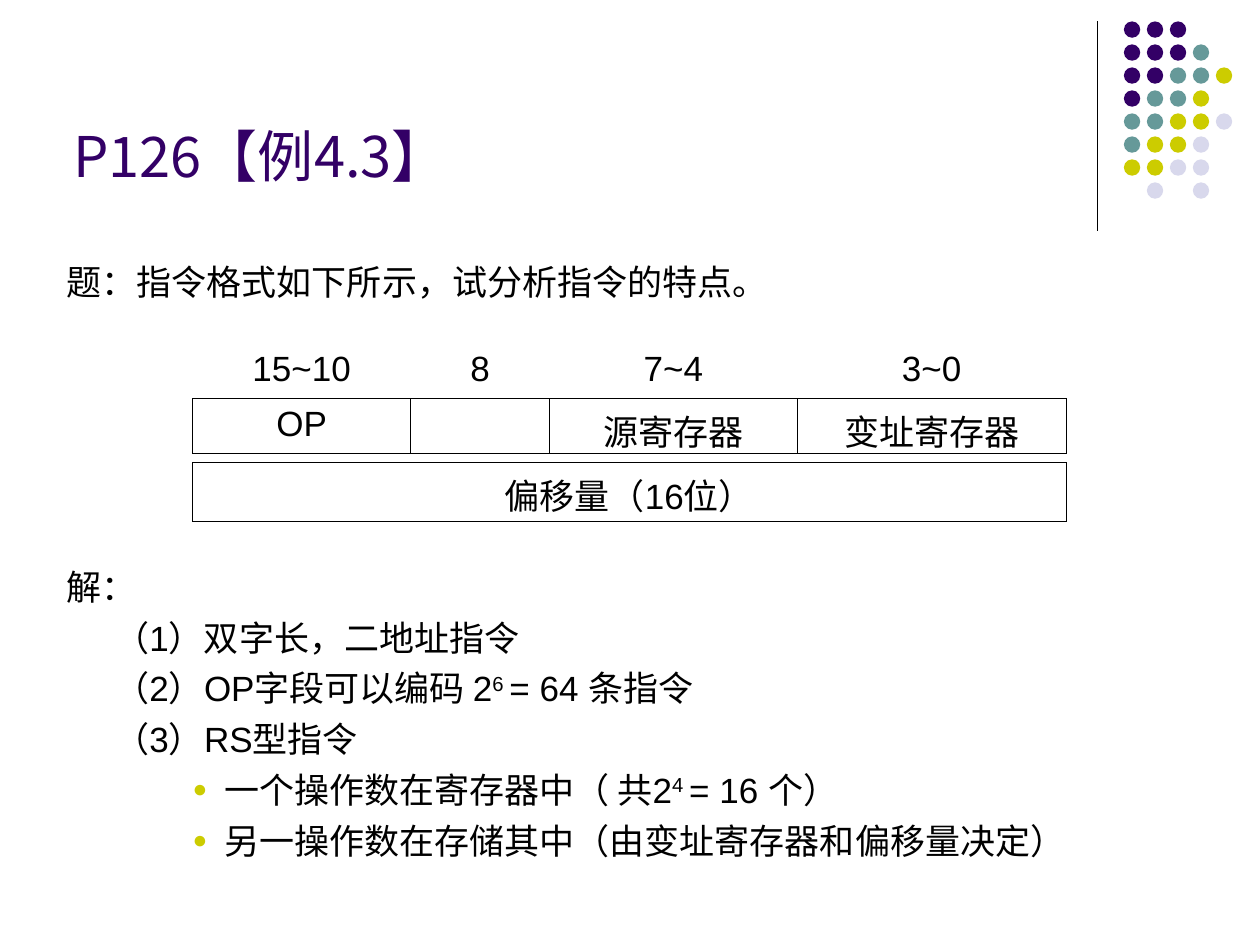
"""Build the slide for example 4.3 on analysing an instruction format."""
from lxml import etree
from pptx import Presentation
from pptx.dml.color import RGBColor
from pptx.enum.shapes import MSO_CONNECTOR, MSO_SHAPE
from pptx.enum.text import MSO_ANCHOR, MSO_AUTO_SIZE, PP_ALIGN
from pptx.oxml import parse_xml
from pptx.oxml.ns import nsdecls, qn
from pptx.util import Inches, Pt

CJK_FONT = "Noto Sans CJK SC"
PURPLE, TEAL, LIME, LILAC, BLACK = "330066", "669999", "CCCC00", "D8D8EC", "000000"
rgb = RGBColor.from_string


def add_run(para, text, size=20, font="Arial", color=BLACK, superscript=False):
    """Append one formatted run to a paragraph."""
    span = para.add_run()
    span.text = text
    span.font.size = Pt(size)
    span.font.name = font
    span.font.color.rgb = rgb(color)
    properties = span.font._element
    etree.SubElement(properties, qn("a:ea")).set("typeface", CJK_FONT)
    if superscript:
        properties.set("baseline", "30000")


def add_border(cell, side):
    """Draw a thin black border on one side of a table cell."""
    cell._tc.get_or_add_tcPr().append(parse_xml(
        f'<a:ln{side} {nsdecls("a")} w="5715"><a:solidFill>'
        f'<a:srgbClr val="{BLACK}"/></a:solidFill></a:ln{side}>'))


deck = Presentation()
deck.slide_width, deck.slide_height = Inches(10), Inches(7.5)
page = deck.slides.add_slide(deck.slide_layouts[5])

divider = page.shapes.add_connector(
    MSO_CONNECTOR.STRAIGHT, Inches(8.71), Inches(0.17), Inches(8.71), Inches(1.83))
divider.line.color.rgb = rgb(BLACK)
divider.line.width = Pt(0.75)
etree.SubElement(divider._element.spPr, qn("a:effectLst"))

dot_colors = {"P": PURPLE, "T": TEAL, "Y": LIME, "L": LILAC}
dot_rows = ["PPP", "PPPT", "PPTTY", "PTTY", "TTYYL", "TYYL", "YYLL", " L L"]
dot_step = Inches(0.73) / 4
for row, pattern in enumerate(dot_rows):
    for column, key in enumerate(pattern):
        if key in dot_colors:
            dot = page.shapes.add_shape(
                MSO_SHAPE.OVAL, Inches(8.92) + int(column * dot_step),
                Inches(0.17) + int(row * dot_step), Inches(0.13), Inches(0.13))
            dot.shadow.inherit = False
            dot.fill.solid()
            dot.fill.fore_color.rgb = rgb(dot_colors[key])
            dot.line.fill.background()

title = page.shapes.title
title.left, title.top = Inches(0.5), Inches(0.77)
title.width, title.height = Inches(8.25), Inches(0.77)
frame = title.text_frame
frame.auto_size = MSO_AUTO_SIZE.NONE
frame.vertical_anchor = MSO_ANCHOR.MIDDLE
frame.margin_left = frame.margin_right = Inches(0.08)
frame.margin_top = frame.margin_bottom = Inches(0.04)
para = frame.paragraphs[0]
para.alignment = PP_ALIGN.JUSTIFY
para.line_spacing = 1.3
add_run(para, "P126【例4.3】", 32, CJK_FONT, PURPLE)

box = page.shapes.add_textbox(Inches(0.43), Inches(2.02), Inches(9.06), Inches(5.12))
frame = box.text_frame
frame.word_wrap = True
body = [
    (0, 0, ["题：指令格式如下所示，试分析指令的特点。"]),
    (0, 150, ["解："]),
    (0.38, 5, ["（1）双字长，二地址指令"]),
    (0.38, 5, ["（2）OP字段可以编码 2", "6 ", "= 64 条指令"]),
    (0.38, 5, ["（3）RS型指令"]),
    (1.25, 5, ["一个操作数在寄存器中（ 共2", "4 ", "= 16 个）"]),
    (1.25, 5, ["另一操作数在存储其中（由变址寄存器和偏移量决定）"]),
]
for index, (margin, space, texts) in enumerate(body):
    para = frame.add_paragraph() if index else frame.paragraphs[0]
    if space:
        para.space_before = Pt(space)
    properties = para._p.get_or_add_pPr()
    properties.set("marL", str(Inches(margin)))
    if margin > 1:
        para.level = 2
        properties.set("indent", str(Inches(-0.25)))
        color = etree.SubElement(properties, qn("a:buClr"))
        etree.SubElement(color, qn("a:srgbClr")).set("val", LIME)
        etree.SubElement(properties, qn("a:buSzPct")).set("val", "70000")
        etree.SubElement(properties, qn("a:buFont")).set("typeface", "Arial")
        etree.SubElement(properties, qn("a:buChar")).set("char", "●")
    for position, text in enumerate(texts):
        add_run(para, text, superscript=position == 1)

format_rows = [["15~10", "8", "7~4", "3~0"], ["OP", "", "源寄存器", "变址寄存器"]]
tables = [
    (2.73, 0.43, [1.73, 1.1, 1.97, 2.13], format_rows),
    (3.67, 0.47, [6.93], [["偏移量（16位）"]]),
]
for top, row_height, widths, rows in tables:
    table = page.shapes.add_table(
        len(rows), len(widths), Inches(1.53), Inches(top),
        Inches(6.93), Inches(row_height * len(rows))).table
    table.first_row = table.horz_banding = False
    for column, width in zip(table.columns, widths):
        column.width = Inches(width)
    for row, texts in enumerate(rows):
        table.rows[row].height = Inches(row_height)
        for column, text in enumerate(texts):
            cell = table.cell(row, column)
            cell.margin_top = cell.margin_bottom = Inches(0.05)
            is_header = row < len(rows) - 1
            for side in "B" if is_header else "LRTB":
                add_border(cell, side)
            cell.fill.background()
            para = cell.text_frame.paragraphs[0]
            para.alignment = PP_ALIGN.CENTER
            if text:
                add_run(para, text)

deck.save("out.pptx")
